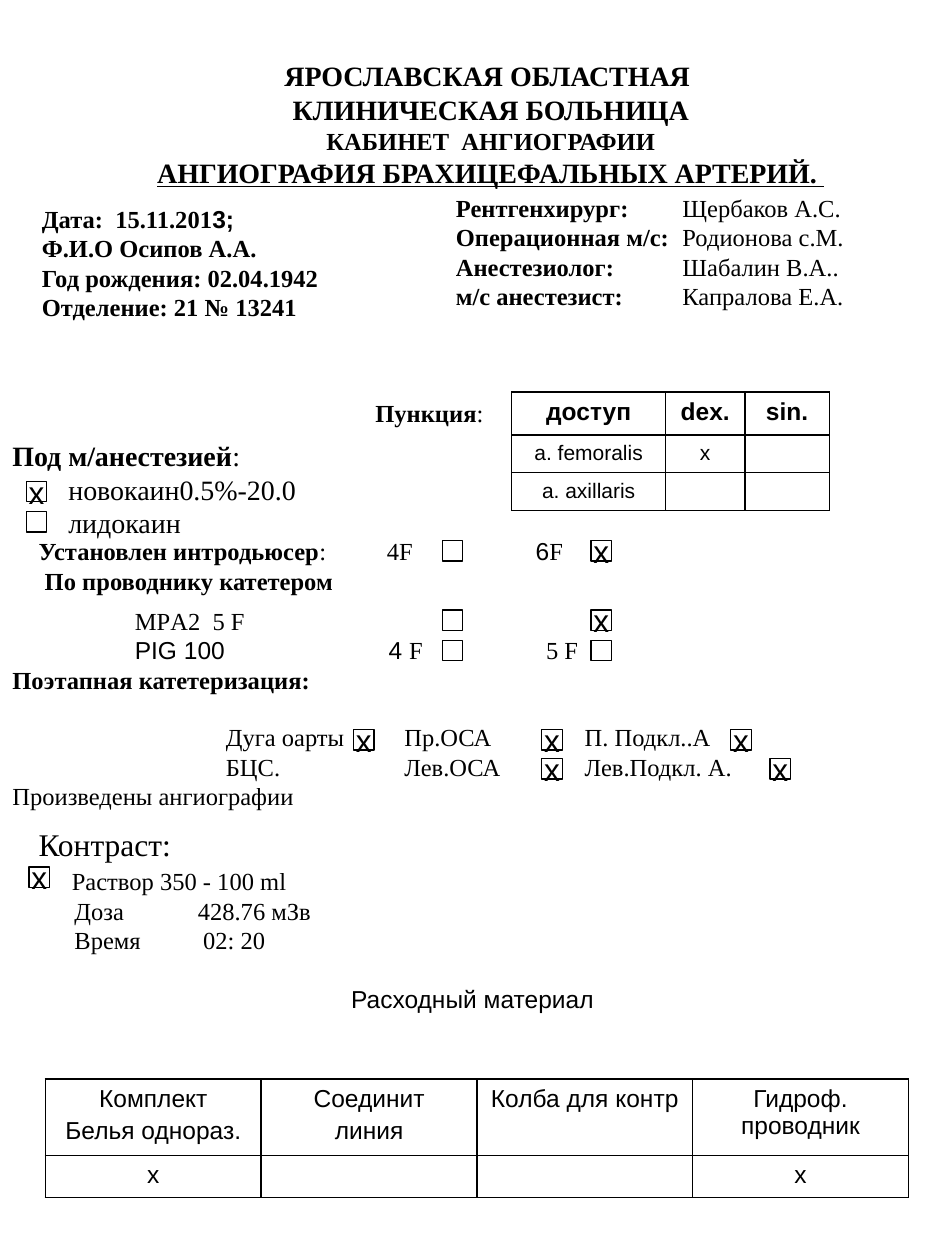
from dataclasses import dataclass

from pptx import Presentation
from pptx.dml.color import RGBColor
from pptx.enum.shapes import MSO_SHAPE as Shape
from pptx.enum.text import MSO_ANCHOR as Anchor, PP_ALIGN as Align
from pptx.oxml.ns import qn
from pptx.util import Pt
from lxml.etree import SubElement, Element


@dataclass(frozen=True)
class Theme:
    """Colours, fonts and type sizes of the form."""
    ink: RGBColor = RGBColor(0, 0, 0)
    serif: str = "Times New Roman"
    sans: str = "Arial"
    small: float = 12
    body: float = 14
    head: float = 16
    large: float = 18
    rule: float = 1
    thin: float = 0.75


THEME = Theme()
SANS = {"font": THEME.sans}
PLAIN = {"bold": False}
BOLD = {"bold": True}


def style(run, size=THEME.body, font=THEME.serif, bold=False, under=False):
    """Format one run."""
    face = run.font
    face.size, face.name = Pt(size), font
    face.bold, face.underline = bold, under
    face.color.rgb = THEME.ink


def line(frame, text, align=Align.LEFT, before=0, stops=(), **form):
    """Add a paragraph; text is a string or a list of (string, format) pairs."""
    para = frame.paragraphs[-1]
    if para.runs:
        para = frame.add_paragraph()
    para.alignment = align
    para.line_spacing = 1.0
    para.space_before = Pt(before)
    if stops:
        tabs = SubElement(para._p.get_or_add_pPr(), qn("a:tabLst"))
        for stop in stops:
            SubElement(tabs, qn("a:tab"), pos=str(Pt(stop)), algn="l")
    if not text:
        end = para._p.get_or_add_endParaRPr()
        end.set("sz", str(int(form.get("size", THEME.body) * 100)))
        return
    for part, extra in [(text, {})] if isinstance(text, str) else text:
        run = para.add_run()
        run.text = part
        style(run, **{**form, **extra})


def block(slide, left, top, width, height, anchor=Anchor.TOP):
    """Add a wrapped text box and return its frame."""
    frame = slide.shapes.add_textbox(
        Pt(left), Pt(top), Pt(width), Pt(height)).text_frame
    frame.word_wrap = True
    frame.vertical_anchor = anchor
    return frame


def check(slide, left, top, mark):
    """Add a tick box, with a cross if marked."""
    box = slide.shapes.add_shape(
        Shape.RECTANGLE, Pt(left), Pt(top), Pt(11.7), Pt(11.7))
    box.shadow.inherit = False
    box.fill.background()
    box.line.color.rgb = THEME.ink
    box.line.width = Pt(THEME.thin)
    if mark:
        frame = box.text_frame
        frame.word_wrap = False
        frame.vertical_anchor = Anchor.MIDDLE
        line(frame, "х", align=Align.CENTER, size=THEME.large, **SANS)


def border(cell, sides):
    """Draw the cell's edges from a map of side to width."""
    props = cell._tc.get_or_add_tcPr()
    for spot, side in enumerate("LRTB"):
        edge = Element(qn("a:ln" + side), w=str(Pt(sides[side])))
        fill = SubElement(edge, qn("a:solidFill"))
        SubElement(fill, qn("a:srgbClr"), val=str(THEME.ink))
        props.insert(spot, edge)


def grid(slide, left, top, cols, rows, cells, forms, outer=THEME.rule):
    """Add a ruled table with one text format per row."""
    table = slide.shapes.add_table(
        len(rows), len(cols), Pt(left), Pt(top),
        Pt(sum(cols)), Pt(sum(rows))).table
    table.first_row = table.horz_banding = False
    for col, width in zip(table.columns, cols):
        col.width = Pt(width)
    for r, (height, words, form) in enumerate(zip(rows, cells, forms)):
        table.rows[r].height = Pt(height)
        for c, text in enumerate(words):
            cell = table.cell(r, c)
            cell.fill.background()
            ends = {"L": c == 0, "R": c == len(cols) - 1,
                    "T": r == 0, "B": r == len(rows) - 1}
            border(cell, {side: outer if end else THEME.rule
                          for side, end in ends.items()})
            for n, part in enumerate(text.split("\n")):
                line(cell.text_frame, part, align=Align.CENTER,
                     before=2.8 if n else 0, **SANS, **form)


def title(slide):
    """Fill the heading of the form."""
    head = slide.shapes.title
    head.left, head.top, head.width, head.height = map(
        Pt, (37.5, 30, 486, 80))
    frame = head.text_frame
    frame.word_wrap = True
    frame.vertical_anchor = Anchor.TOP
    form = {"align": Align.CENTER, "bold": True}
    line(frame, "ЯРОСЛАВСКАЯ ОБЛАСТНАЯ ", size=THEME.head, **form)
    line(frame, "КЛИНИЧЕСКАЯ БОЛЬНИЦА", size=THEME.head, **form)
    line(frame, "КАБИНЕТ  АНГИОГРАФИИ", **form)
    line(frame, "АНГИОГРАФИЯ БРАХИЦЕФАЛЬНЫХ АРТЕРИЙ. ",
         size=THEME.head, under=True, **form)


def people(slide):
    """Add the patient's details and the staff list."""
    frame = block(slide, 16.8, 90, 200, 120, Anchor.MIDDLE)
    line(frame, [("Дата:  15.11.201", {}), ("3;", SANS)], **BOLD)
    for text in ("Ф.И.О Осипов А.А.", "Год рождения: 02.04.1942",
                 "Отделение: 21 № 13241"):
        line(frame, text, **BOLD)
    frame = block(slide, 253.4, 106.6, 270, 75)
    for role, name in (("Рентгенхирург:", "Щербаков А.С."),
                       ("Операционная м/с:", "Родионова с.М."),
                       ("Анестезиолог:", "Шабалин В.А.."),
                       ("м/с анестезист:", "Капралова Е.А.")):
        line(frame, [(role, BOLD), ("\t" + name, PLAIN)], stops=[129.5])


def steps(slide):
    """Add the text of each step of the procedure."""
    frame = block(slide, 0, 247, 246, 63)
    line(frame, [("Под м/анестезией", BOLD), (":", PLAIN)], size=THEME.head)
    for drug in ("новокаин0.5%-20.0", "лидокаин"):
        line(frame, "\t" + drug, size=THEME.head, stops=[32])
    frame = block(slide, 207.4, 224, 84, 24)
    line(frame, [("Пункция", BOLD), (":", PLAIN)])
    frame = block(slide, 15, 303, 455, 41)
    line(frame, [("Установлен интродьюсер", BOLD), (":\t4F\t", PLAIN),
                 ("6", SANS), ("F", PLAIN)], stops=[199, 284])
    line(frame, "\tПо проводнику катетером", stops=[3.5], **BOLD)
    frame = block(slide, 0, 342.7, 540, 124)
    line(frame, "\tMPА2  5 F", stops=[70])
    line(frame, [("\tРIG 100\t4 ", SANS), ("F\t5 F", {})],
         stops=[70, 215, 305])
    line(frame, "Поэтапная катетеризация:", **BOLD)
    vessels = [122, 224, 327]
    line(frame, "\tДуга оарты\tПр.ОСА\tП. Подкл..А", before=16, stops=vessels)
    line(frame, "\tБЦС.\tЛев.ОСА\tЛев.Подкл. А.", stops=vessels)
    line(frame, "Произведены ангиографии")
    frame = block(slide, 15, 468, 268, 80)
    line(frame, "Контраст:", size=THEME.large)
    line(frame, "\tРаствор 350 - 100 ml", before=2, stops=[19])
    line(frame, "\tДоза\t428.76 мЗв", stops=[20.5, 91])
    line(frame, "\tВремя\t02: 20", stops=[20.5, 94])
    frame = block(slide, 0, 558.7, 540, 24)
    line(frame, "Расходный материал", align=Align.CENTER, **SANS)


def main():
    """Build the form and save it."""
    deck = Presentation()
    deck.slide_width, deck.slide_height = Pt(540), Pt(720)
    slide = deck.slides.add_slide(deck.slide_layouts[5])
    title(slide)
    people(slide)
    steps(slide)
    small = {"size": THEME.small}
    grid(slide, 292.5, 224, (87.8, 45.4, 48.2), (24.5, 21.5, 21.5),
         (("доступ", "dex.", "sin."), ("a. femoralis", "х", ""),
          ("a. axillaris", "", "")), (BOLD, small, small), THEME.thin)
    grid(slide, 26, 616.5, [123.3] * 4, (43.5, 24),
         (("Комплект\nБелья однораз.", "Соединит\nлиния",
           "Колба для контр", "Гидроф. проводник"),
          ("х", "", "", "х")), ({}, {}))
    for top, marks in ((275, {15: True}), (292.3, {15: False}),
                       (308.9, {252.7: False, 337.7: True}),
                       (348.5, {252.7: False, 337.7: True}),
                       (365.8, {252.7: False, 337.7: False}),
                       (416.9, {202: True, 309.6: True, 417.6: True}),
                       (433.4, {309.6: True, 440: True}),
                       (495.4, {16.6: True})):
        for left, mark in marks.items():
            check(slide, left, top, mark)
    deck.save("out.pptx")


if __name__ == "__main__":
    main()
